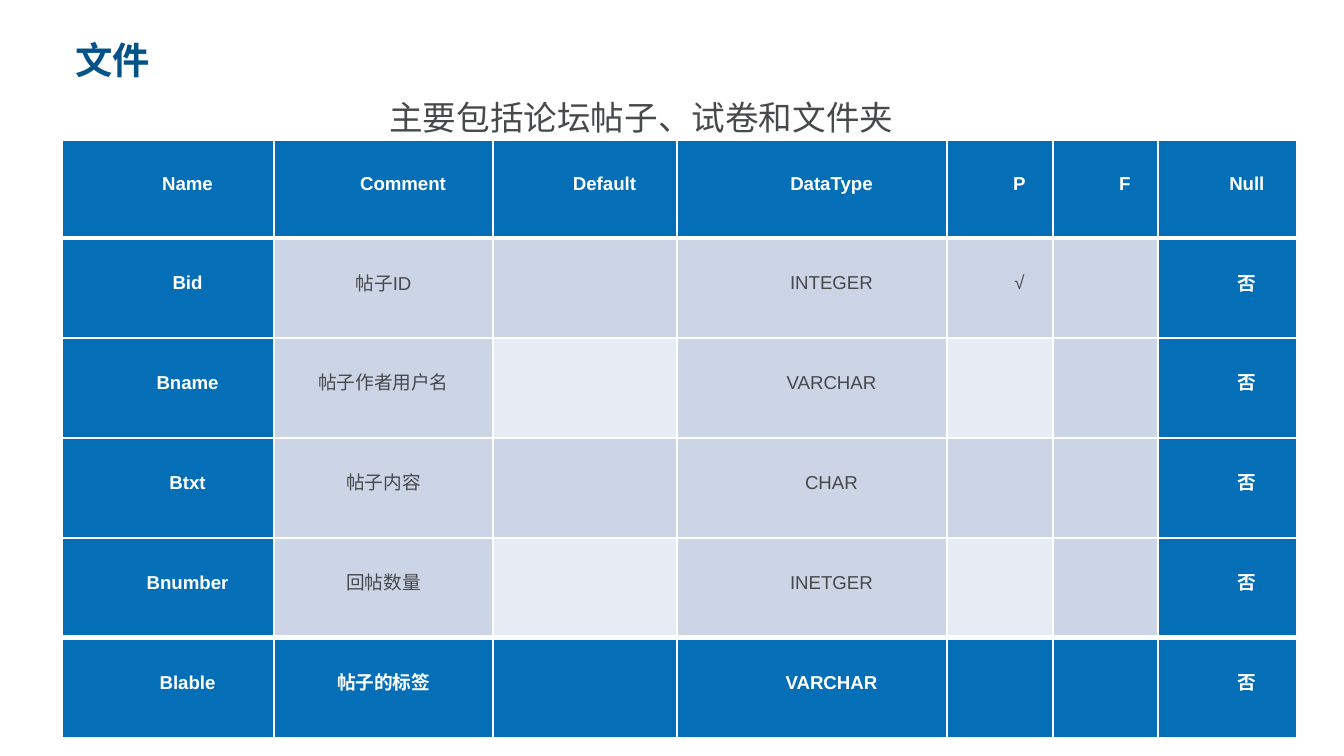
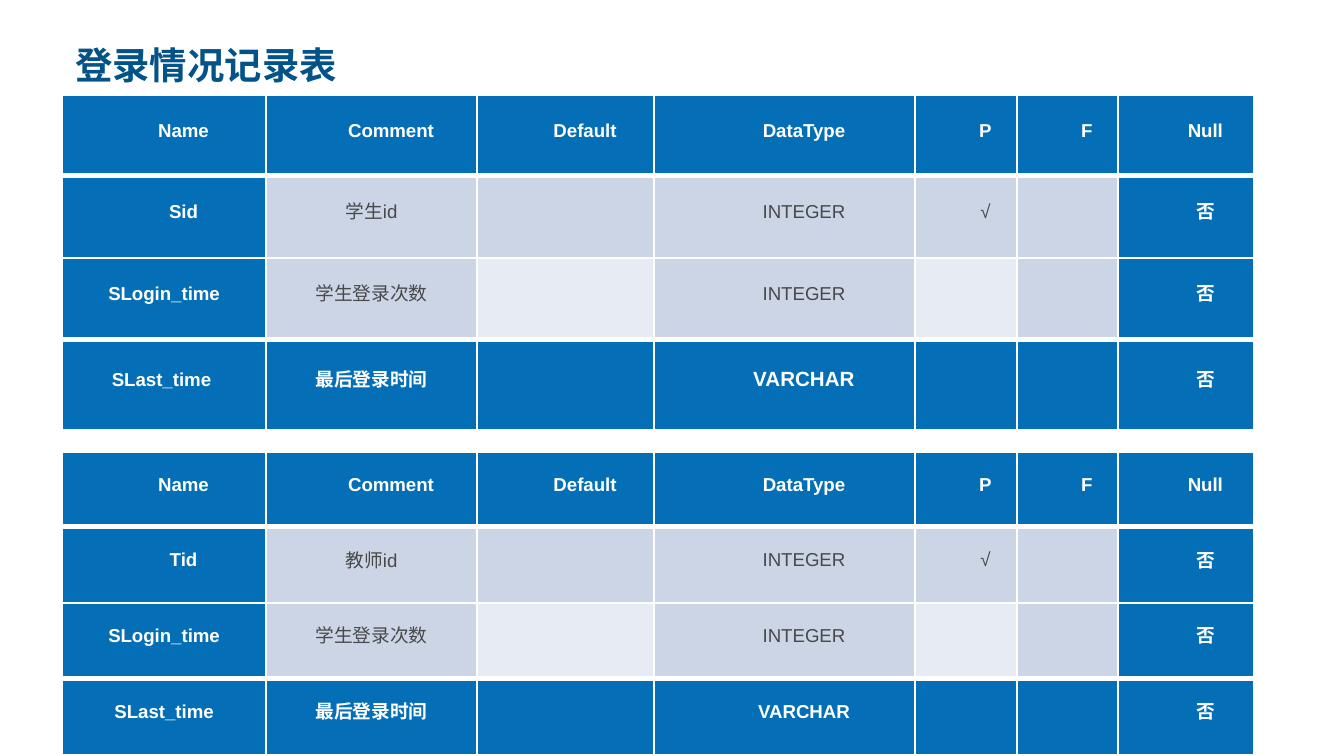
import dataclasses

import pptx
import pptx.dml.color
import pptx.enum.text
import pptx.oxml
import pptx.oxml.ns
import pptx.util

EMU_PER_PX = 914400 / 134.4
HEADERS = ["Name", "Comment", "Default", "DataType", "P", "F", "Null"]
COMMENT_COLUMN = HEADERS.index("Comment")
STRIPED_COLUMNS = {HEADERS.index("Default"), HEADERS.index("P")}
LONGEST_INDENTED_TEXT = 8


@dataclasses.dataclass(frozen=True)
class Theme:
    title: str = "035388"
    text: str = "47494B"
    white: str = "FFFFFF"
    strong: str = "046FB6"
    light: str = "CCD5E5"
    pale: str = "E7EBF3"
    title_font: str = "Montserrat"
    body_font: str = "Arial"
    title_size: int = 20
    subtitle_size: int = 18
    cell_size: int = 10
    large_cell_size: int = 11
    thin_line: int = 1
    thick_line: int = 3


THEME = Theme()


def px(length):
    return pptx.util.Emu(round(length * EMU_PER_PX))


def set_attributes(target, values):
    for name, value in values.items():
        setattr(target, name, value)


def write_text(text_frame, text, line_spacing, color, **font):
    paragraph = text_frame.paragraphs[0]
    paragraph.line_spacing = line_spacing
    run = paragraph.add_run()
    run.text = text
    font["size"] = pptx.util.Pt(font["size"])
    set_attributes(run.font, font)
    run.font.color.rgb = pptx.dml.color.RGBColor.from_string(color)
    return paragraph


def add_text(slide, bounds, text, line_spacing, frame_format, **font):
    shape = slide.shapes.add_textbox(*map(px, bounds))
    set_attributes(shape.text_frame, {"word_wrap": True, **frame_format})
    write_text(shape.text_frame, text, line_spacing, **font)


def add_title(slide, top, text):
    add_text(slide, (62, top, 1219, 77), text, 0.9,
             {"vertical_anchor": pptx.enum.text.MSO_ANCHOR.BOTTOM},
             color=THEME.title, name=THEME.title_font,
             size=THEME.title_size, bold=True)


def add_subtitle(slide, text):
    add_text(slide, (376, 78, 847, 62), text, 1.3,
             {"auto_size": pptx.enum.text.MSO_AUTO_SIZE.SHAPE_TO_FIT_TEXT},
             color=THEME.text, name=THEME.body_font,
             size=THEME.subtitle_size, bold=False)


def set_borders(cell, top, bottom):
    widths = {"lnL": THEME.thin_line, "lnR": THEME.thin_line,
              "lnT": top, "lnB": bottom}
    properties = cell._tc.get_or_add_tcPr()
    for position, (tag, width) in enumerate(widths.items()):
        properties.insert(position, pptx.oxml.parse_xml(
            f'<a:{tag} {pptx.oxml.ns.nsdecls("a")} w="{pptx.util.Pt(width)}">'
            f'<a:solidFill><a:srgbClr val="{THEME.white}"/></a:solidFill>'
            f'</a:{tag}>'))


def cell_fill(row, column, last_row):
    if row in (0, last_row) or column in (0, len(HEADERS) - 1):
        return THEME.strong
    if row % 2 == 0 and column in STRIPED_COLUMNS:
        return THEME.pale
    return THEME.light


def write_cell(cell, text, size, strong, indented):
    set_attributes(cell, {
        "vertical_anchor": pptx.enum.text.MSO_ANCHOR.MIDDLE,
        "margin_left": px(9), "margin_right": px(9),
        "margin_top": 0, "margin_bottom": 0})
    paragraph = write_text(
        cell.text_frame, text, 0.25,
        color=THEME.white if strong else THEME.text,
        name=THEME.body_font, size=size, bold=strong)
    paragraph.alignment = pptx.enum.text.PP_ALIGN.CENTER
    if indented:
        paragraph._p.get_or_add_pPr().set("indent", str(px(39)))


def add_field_table(slide, top, widths, heights, fields, large_cells=()):
    """Draw a table of database fields; large_cells holds (row, column) pairs."""
    rows = [HEADERS, *fields]
    last_row = len(rows) - 1
    table = slide.shapes.add_table(
        len(rows), len(HEADERS), px(62), px(top),
        px(sum(widths)), px(sum(heights))).table
    set_attributes(table, {"first_row": False, "horz_banding": False})
    for column, width in zip(table.columns, widths):
        column.width = px(width)
    for table_row, height in zip(table.rows, heights):
        table_row.height = px(height)

    for row, texts in enumerate(rows):
        above = THEME.thick_line if row in (1, last_row) else THEME.thin_line
        below = THEME.thick_line if row in (0, last_row - 1) else THEME.thin_line
        for column, text in enumerate(texts):
            cell = table.cell(row, column)
            fill = cell_fill(row, column, last_row)
            cell.fill.solid()
            cell.fill.fore_color.rgb = pptx.dml.color.RGBColor.from_string(fill)
            set_borders(cell, above, below)
            if text:
                size = (THEME.large_cell_size if (row, column) in large_cells
                        else THEME.cell_size)
                flush = ((row > 0 and column == COMMENT_COLUMN)
                         or len(text) > LONGEST_INDENTED_TEXT)
                write_cell(cell, text, size, fill == THEME.strong, not flush)


def field(name, comment, data_type, primary=""):
    return [name, comment, "", data_type, primary, "", "否"]


def build_files_slide(slide):
    add_title(slide, 12, "文件")
    add_subtitle(slide, "主要包括论坛帖子、试卷和文件夹")
    add_field_table(
        slide, 140, [212, 219, 184, 270, 106, 105, 139], [98] + [100] * 5,
        [field("Bid", "帖子ID", "INTEGER", "√"),
         field("Bname", "帖子作者用户名", "VARCHAR"),
         field("Btxt", "帖子内容", "CHAR"),
         field("Bnumber", "回帖数量", "INETGER"),
         field("Blable", "帖子的标签", "VARCHAR")])


def build_logins_slide(slide):
    add_title(slide, 17, "登录情况记录表")
    widths = [204, 211, 177, 261, 102, 101, 136]
    login_count = field("SLogin_time", "学生登录次数", "INTEGER")
    add_field_table(
        slide, 95, widths, [81, 82, 82, 90],
        [field("Sid", "学生id", "INTEGER", "√"), login_count,
         field("SLast_time ", "最后登录时间", "VARCHAR")],
        large_cells={(3, HEADERS.index("DataType"))})
    add_field_table(
        slide, 452, widths, [75, 76, 76, 76],
        [field("Tid", "教师id", "INTEGER", "√"), login_count,
         field("SLast_time", "最后登录时间", "VARCHAR")])


def main():
    presentation = pptx.Presentation()
    presentation.slide_width = px(1344)
    presentation.slide_height = px(756)
    blank_layout = presentation.slide_layouts[6]
    for build_slide in (build_files_slide, build_logins_slide):
        build_slide(presentation.slides.add_slide(blank_layout))
    presentation.save("out.pptx")


if __name__ == "__main__":
    main()
